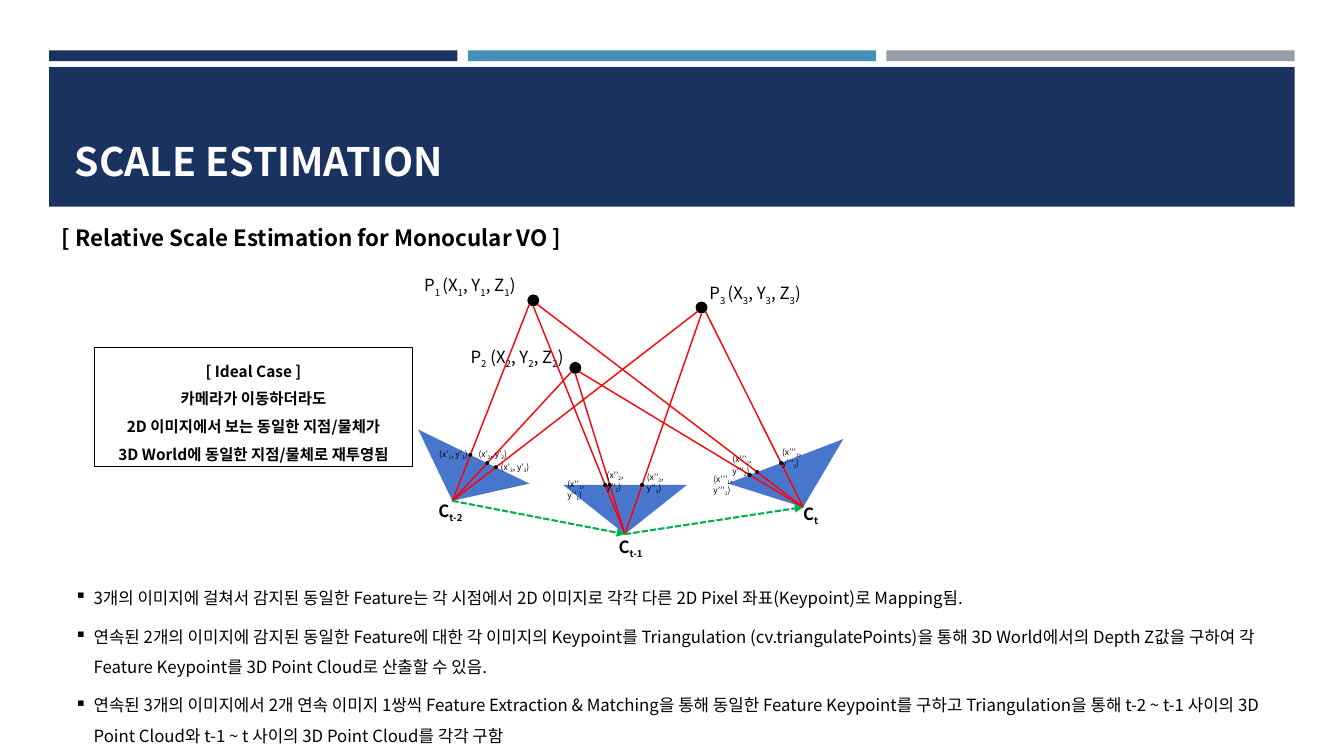
from math import cos, radians, sin

from lxml import etree
from pptx import Presentation
from pptx.dml.color import RGBColor
from pptx.enum.dml import MSO_LINE
from pptx.enum.shapes import MSO_CONNECTOR, MSO_SHAPE as SHAPE
from pptx.enum.text import MSO_ANCHOR as ANCHOR, MSO_AUTO_SIZE as FIT, PP_ALIGN as ALIGN
from pptx.oxml.ns import qn
from pptx.util import Cm, Pt

FONT = "Noto Sans CJK KR"
NAVY = RGBColor(0x1A, 0x32, 0x60)
TEAL = RGBColor(0x45, 0x90, 0xB8)
GRAY = RGBColor(0x96, 0x9F, 0xA7)
BLUE = RGBColor(0x48, 0x76, 0xCD)
RED = RGBColor(0xFF, 0, 0)
GREEN = RGBColor(0, 0xB0, 0x50)
BLACK = RGBColor(0, 0, 0)
WHITE = RGBColor(0xFF, 0xFF, 0xFF)

BULLETS = [
    "3개의 이미지에 걸쳐서 감지된 동일한 Feature는 각 시점에서 2D 이미지로 각각 다른 2D Pixel 좌표(Keypoint)로 Mapping됨.",
    "연속된 2개의 이미지에 감지된 동일한 Feature에 대한 각 이미지의 Keypoint를 Triangulation (cv.triangulatePoints)을 통해 "
    "3D World에서의 Depth Z값을 구하여 각 Feature Keypoint를 3D Point Cloud로 산출할 수 있음.",
    "연속된 3개의 이미지에서 2개 연속 이미지 1쌍씩 Feature Extraction & Matching을 통해 동일한 Feature Keypoint를 구하고 "
    "Triangulation을 통해 t-2 ~ t-1 사이의 3D Point Cloud와 t-1 ~ t 사이의 3D Point Cloud를 각각 구함",
]
IDEAL_CASE = [
    "[ Ideal Case ]",
    "카메라가 이동하더라도",
    "2D 이미지에서 보는 동일한 지점/물체가",
    "3D World에 동일한 지점/물체로 재투영됨",
]

# World points: centre, label, label position (cm inside the diagram)
POINTS = [
    ((3.34, 0.77), "P|1 |(X|1|, Y|1|, Z|1|)", (0.34, 0.01)),
    ((4.4, 2.47), "P|2| (X|2|, Y|2|, Z|2|)", (1.51, 1.81)),
    ((7.58, 0.95), "P|3 |(X|3|, Y|3|, Z|3|)", (7.53, 0.21)),
]
# Cameras: apex, rotation, ray offset at the points, name, name position and width,
# pixel label positions and width
CAMERAS = [
    ((1.3, 5.82), 205.9, (-0.1, 0.1), "C|t-2", (0.7, 5.7), 1.17,
     [(0.72, 4.38), (1.71, 4.38), (2.27, 4.71)], 1.24),
    ((5.65, 6.66), 180, (0, 0.15), "C|t-1", (5.24, 6.59), 1.17,
     [(3.95, 5.14), (4.94, 4.93), (5.95, 4.96)], 1.32),
    ((10.14, 5.98), 159, (0.1, 0.1), "C|t", (9.89, 5.77), 0.89,
     [(7.63, 5.01), (8.11, 4.53), (9.36, 4.33)], 1.42),
]
CAM_W, CAM_H = 3.12, 1.24


def write(p, text, size, color=BLACK, bold=False, **para):
    """Fill a paragraph; every second part between bars is a subscript."""
    for name, value in para.items():
        setattr(p, name, value)
    for i, part in enumerate(text.split("|")):
        r = p.add_run()
        r.text = part
        for name, value in {"name": FONT, "size": Pt(size), "bold": bold}.items():
            setattr(r.font, name, value)
        r.font.color.rgb = color
        rPr = r.font._element
        etree.SubElement(rPr, qn("a:ea")).set("typeface", FONT)
        if i % 2:
            rPr.set("baseline", "-25000")


def add_shape(shapes, kind, x, y, w, h, fill, line=None):
    sp = shapes.add_shape(kind, Cm(x), Cm(y), Cm(w), Cm(h))
    sp.shadow.inherit = False
    sp.fill.solid()
    sp.fill.fore_color.rgb = fill
    if line is None:
        sp.line.fill.background()
    else:
        sp.line.color.rgb = line
        sp.line.width = Pt(0.75)
    return sp


def add_dot(shapes, x, y, d):
    add_shape(shapes, SHAPE.OVAL, x - d / 2, y - d / 2, d, d, BLACK)


def add_line(shapes, start, end, color, width):
    ln = shapes.add_connector(MSO_CONNECTOR.STRAIGHT, *(Cm(v) for v in (*start, *end)))
    ln.line.color.rgb = color
    ln.line.width = Pt(width)
    etree.SubElement(ln._element.spPr, qn("a:effectLst"))
    return ln


def add_label(shapes, x, y, w, h, text, size, bold=False, wrap=False):
    tf = shapes.add_textbox(Cm(x), Cm(y), Cm(w), Cm(h)).text_frame
    tf.word_wrap = wrap
    write(tf.paragraphs[0], text, size, bold=bold)


def place(sp, x, y, w, h, anchor):
    box = {"left": x, "top": y, "width": w, "height": h}
    for name, value in box.items():
        setattr(sp, name, Cm(value))
    tf = sp.text_frame
    for name, value in {"word_wrap": True, "auto_size": FIT.NONE, "vertical_anchor": anchor}.items():
        setattr(tf, name, value)
    return tf.paragraphs[0]


def set_bullet(p, indent, char=None):
    pPr = p._p.get_or_add_pPr()
    pPr.set("marL", str(Cm(indent)))
    pPr.set("indent", str(-Cm(indent)))
    if char:
        etree.SubElement(pPr, qn("a:buChar")).set("char", char)
    else:
        etree.SubElement(pPr, qn("a:buNone"))


def header(slide, x, y, w):
    # Three accent bars above the title band, all behind the title
    title = slide.shapes.title
    gap = 0.26
    bar_w = (w - 2 * gap) / 3
    parts = [(x + i * (bar_w + gap), y, bar_w, 0.27, c) for i, c in enumerate((NAVY, TEAL, GRAY))]
    parts.append((x, y + 0.42, w, 3.52, NAVY))
    for *box, color in parts:
        bar = add_shape(slide.shapes, SHAPE.RECTANGLE, *box, color)
        title._element.addprevious(bar._element)
    p = place(title, x + 0.39, y + 0.76, w - 0.76, 2.74, ANCHOR.BOTTOM)
    write(p, "SCALE ESTIMATION", 28, WHITE, True, alignment=ALIGN.LEFT)


def heading(slide, x, y, w, h):
    p = place(slide.placeholders[1], x, y, w, h, ANCHOR.TOP)
    set_bullet(p, 0)
    write(p, "[ Relative Scale Estimation for Monocular VO ]", 16, bold=True,
          line_spacing=Pt(19.2), space_before=Pt(0), space_after=Pt(6))


def diagram(slide, x, y):
    shapes = slide.shapes.add_group_shape().shapes

    def at(pos):
        return x + pos[0], y + pos[1]

    # Camera frustums, each hanging from its apex
    for apex, rot, *_ in CAMERAS:
        ax, ay = at(apex)
        cx = ax - sin(radians(rot)) * CAM_H / 2
        cy = ay + cos(radians(rot)) * CAM_H / 2
        tri = add_shape(shapes, SHAPE.ISOSCELES_TRIANGLE, cx - CAM_W / 2, cy - CAM_H / 2,
                        CAM_W, CAM_H, BLUE)
        tri.rotation = rot

    # World points
    for center, text, pos in POINTS:
        add_dot(shapes, *at(center), 0.3)
        add_label(shapes, *at(pos), 3, 0.76, text, 12)

    # Rays, with a dot where each one crosses the image plane
    crossings = []
    for apex, rot, (ox, oy), *_ in CAMERAS:
        ax, ay = at(apex)
        nx, ny = -sin(radians(rot)), cos(radians(rot))
        for center, *_ in POINTS:
            px, py = at(center)
            px, py = px + ox, py + oy
            add_line(shapes, (px, py), (ax, ay), RED, 1)
            t = CAM_H / ((px - ax) * nx + (py - ay) * ny)
            crossings.append((ax + t * (px - ax), ay + t * (py - ay)))
    for crossing in crossings:
        add_dot(shapes, *crossing, 0.1)

    # Pixel labels and camera names
    for i, (_, _, _, name, name_pos, name_w, pixels, pixel_w) in enumerate(CAMERAS):
        prime = "’" * (i + 1)
        for n, pos in enumerate(pixels, 1):
            add_label(shapes, *at(pos), pixel_w, 0.51, f"(x{prime}|{n}|, y{prime}|{n}|)", 6, wrap=i > 0)
        add_label(shapes, *at(name_pos), name_w, 0.76, name, 12, bold=True)

    # Camera motion
    for a, b in zip(CAMERAS, CAMERAS[1:]):
        ln = add_line(shapes, at(a[0]), at(b[0]), GREEN, 1.5)
        ln.line.dash_style = MSO_LINE.SQUARE_DOT
        etree.SubElement(ln.line._get_or_add_ln(), qn("a:tailEnd")).set("type", "triangle")


def ideal_case(slide, x, y, w, h):
    sp = add_shape(slide.shapes, SHAPE.RECTANGLE, x, y, w, h, WHITE, BLACK)
    tf = sp.text_frame
    tf.word_wrap = False
    tf.vertical_anchor = ANCHOR.TOP
    for i, text in enumerate(IDEAL_CASE):
        p = tf.add_paragraph() if i else tf.paragraphs[0]
        write(p, text, 11, bold=True, alignment=ALIGN.CENTER, line_spacing=1.5)


def explanation(slide, x, y, w, h):
    tf = slide.shapes.add_textbox(Cm(x), Cm(y), Cm(w), Cm(h)).text_frame
    tf.word_wrap = True
    for i, text in enumerate(BULLETS):
        p = tf.add_paragraph() if i else tf.paragraphs[0]
        set_bullet(p, 0.48, "▪")
        write(p, text, 12, line_spacing=1.5, space_after=Pt(6))


def main():
    prs = Presentation()
    prs.slide_width, prs.slide_height = Cm(33.87), Cm(19.05)
    slide = prs.slides.add_slide(prs.slide_layouts[1])
    header(slide, 1.24, 1.27, 31.39)
    heading(slide, 1.3, 5.51, 30.94, 12.83)
    diagram(slide, 10.1, 6.8)
    ideal_case(slide, 2.39, 8.76, 8, 3)
    explanation(slide, 1.63, 14.43, 30.63, 4.42)
    prs.save("out.pptx")


if __name__ == "__main__":
    main()
